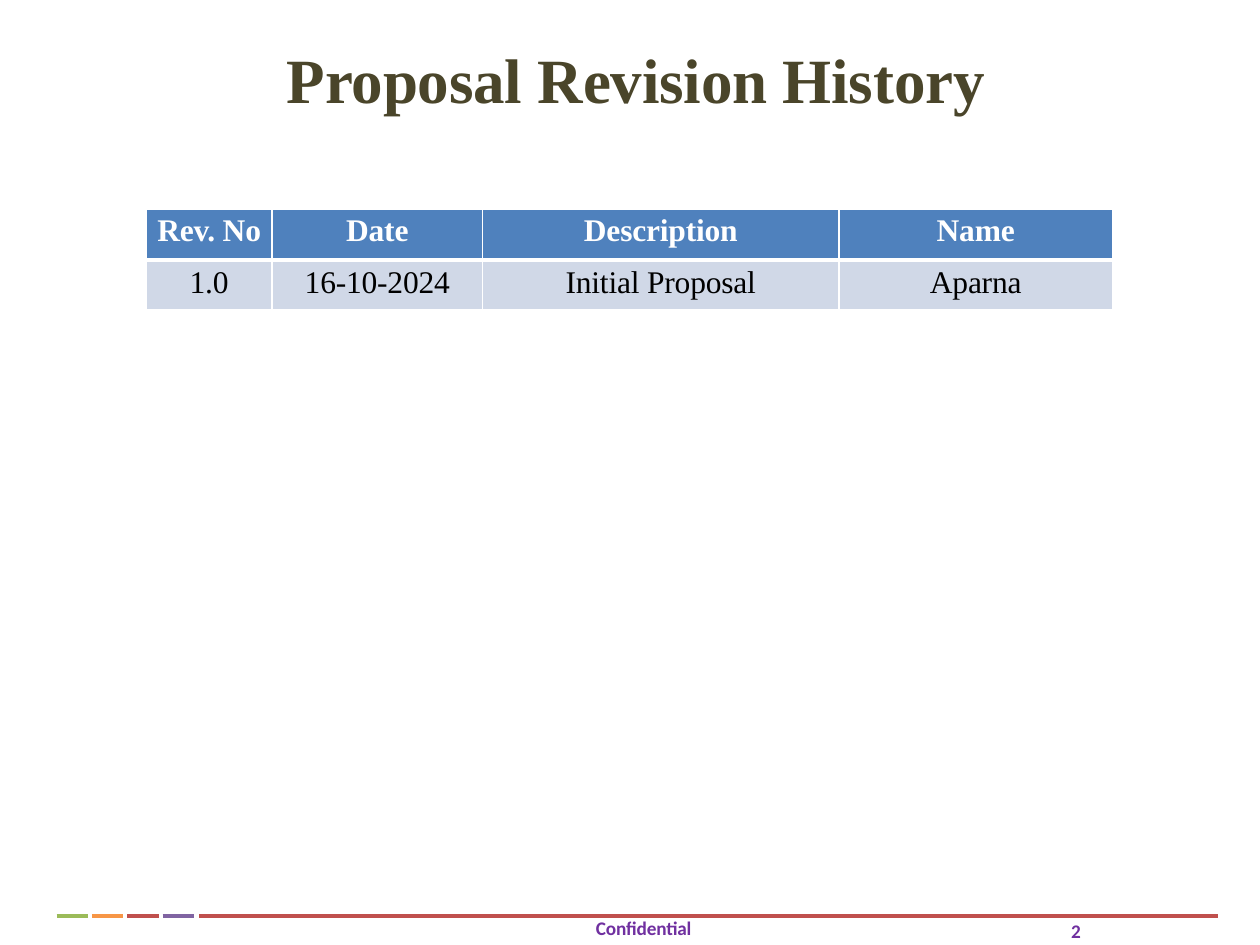
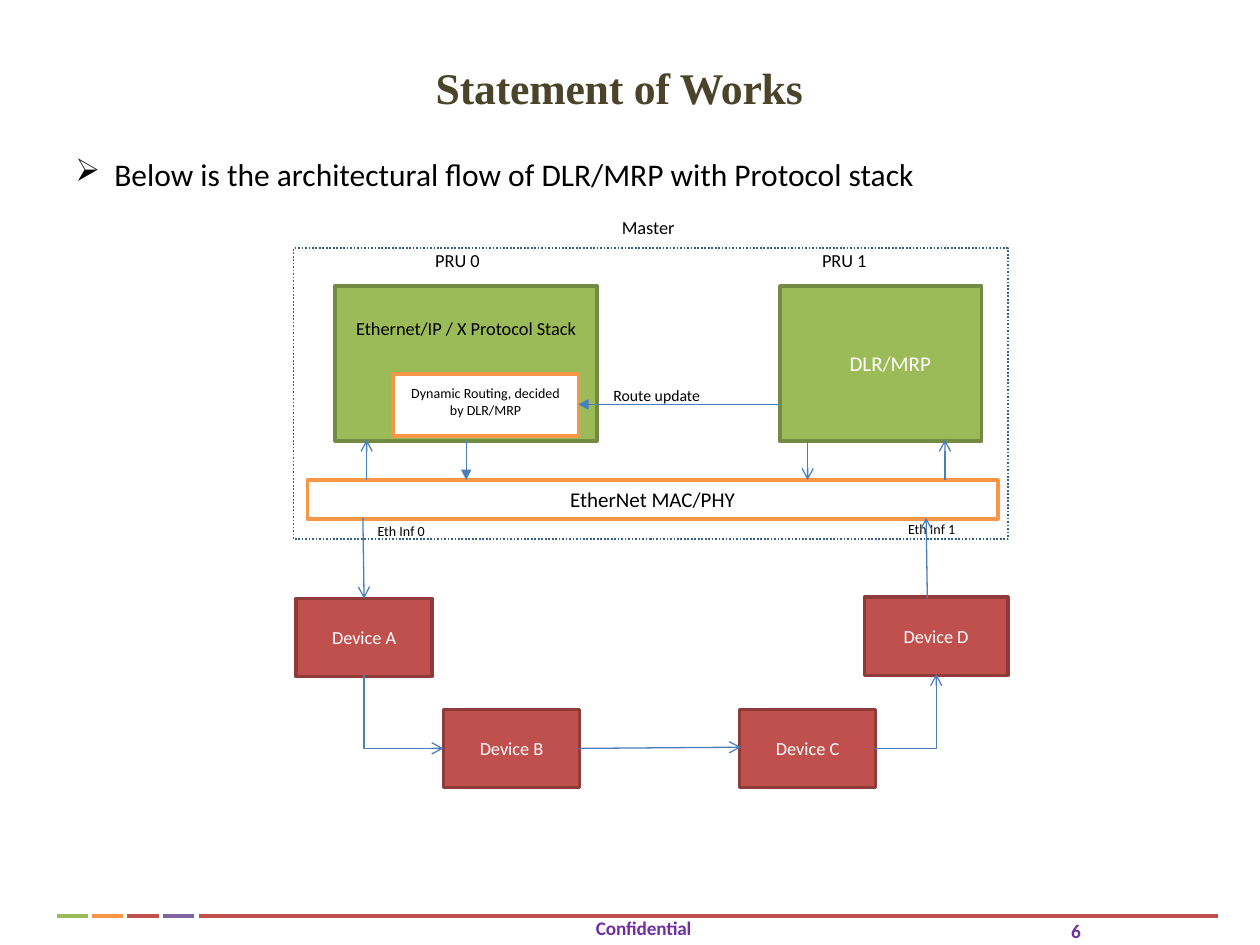
from dataclasses import dataclass
from typing import NamedTuple, Optional

from lxml.etree import SubElement
from pptx import Presentation
from pptx.dml.color import RGBColor
from pptx.enum.dml import MSO_LINE
from pptx.enum.shapes import MSO_CONNECTOR, MSO_SHAPE
from pptx.enum.text import MSO_ANCHOR, PP_ALIGN
from pptx.oxml import parse_xml
from pptx.oxml.ns import nsdecls, qn
from pptx.util import Emu, Inches, Pt

SLIDE_WIDTH, SLIDE_HEIGHT = Inches(10), Inches(7.5)
GRID_COLUMNS, GRID_ROWS = 100, 75


@dataclass(frozen=True)
class Theme:
    serif: str = "Times New Roman"
    sans: str = "Calibri"
    white: str = "FFFFFF"
    black: str = "000000"
    title: str = "4A452A"
    footer: str = "7030A0"
    green: str = "9BBB59"
    green_edge: str = "738A42"
    orange: str = "F79646"
    red: str = "C0504D"
    red_edge: str = "8E3B39"
    purple: str = "8064A2"
    arrow: str = "4B7EBC"
    dotted: str = "3A5F8C"
    table_head: str = "4F81BD"
    table_row: str = "D0D8E7"
    body_size: float = 18
    large_size: float = 12
    label_size: float = 10.5
    route_size: float = 9
    small_size: float = 8
    footer_size: float = 11


THEME = Theme()


class Area(NamedTuple):
    """Left, top, width and height in grid columns and rows."""
    left: float
    top: float
    width: float
    height: float


class Insets(NamedTuple):
    left: float = 1
    top: float = 0.5
    right: float = 1
    bottom: float = 0.5


FLUSH = Insets(0, 0, 0, 0)


@dataclass(frozen=True)
class Style:
    size: float
    color: str = THEME.black
    font: str = THEME.sans
    bold: bool = False
    tracking: float = 0
    align: PP_ALIGN = PP_ALIGN.CENTER
    anchor: MSO_ANCHOR = MSO_ANCHOR.MIDDLE
    before: float = 0
    leading: Optional[float] = None


@dataclass(frozen=True)
class Node:
    area: Area
    text: str = ""
    style: Style = Style(THEME.label_size)
    fill: Optional[str] = None
    edge: Optional[str] = None
    edge_width: float = 2
    dash: Optional[MSO_LINE] = None
    insets: Insets = Insets()


@dataclass(frozen=True)
class Link:
    start: tuple[float, float]
    end: tuple[float, float]
    color: str = THEME.arrow
    width: float = 0.75
    head: Optional[str] = None
    tail: Optional[str] = "arrow"
    bent: bool = False


def across(columns: float) -> Emu:
    return Emu(round(SLIDE_WIDTH * columns / GRID_COLUMNS))


def down(rows: float) -> Emu:
    return Emu(round(SLIDE_HEIGHT * rows / GRID_ROWS))


def place(area: Area) -> tuple[Emu, Emu, Emu, Emu]:
    return across(area.left), down(area.top), across(area.width), down(area.height)


def write(frame, text: str, style: Style):
    para = frame.paragraphs[0]
    para.alignment = style.align
    para.space_before = Pt(style.before)
    if style.leading:
        para.line_spacing = Pt(style.leading)
    span = para.add_run()
    span.text = text
    span.font.name = style.font
    span.font.size = Pt(style.size)
    span.font.bold = style.bold
    span.font.color.rgb = RGBColor.from_string(style.color)
    if style.tracking:
        span.font._element.set("spc", str(round(style.tracking * 100)))
    return para


def draw_node(page, node: Node):
    """Draw a text box, or a rectangle when the node has a fill or an edge."""
    if node.fill or node.edge:
        box = page.shapes.add_shape(MSO_SHAPE.RECTANGLE, *place(node.area))
        box.shadow.inherit = False
    else:
        box = page.shapes.add_textbox(*place(node.area))
    if node.fill:
        box.fill.solid()
        box.fill.fore_color.rgb = RGBColor.from_string(node.fill)
    else:
        box.fill.background()
    if node.edge:
        box.line.color.rgb = RGBColor.from_string(node.edge)
        box.line.width = Pt(node.edge_width)
        box.line.dash_style = node.dash
    else:
        box.line.fill.background()
    frame = box.text_frame
    frame.word_wrap = True
    frame.vertical_anchor = node.style.anchor
    frame.margin_left, frame.margin_right = across(node.insets.left), across(node.insets.right)
    frame.margin_top, frame.margin_bottom = down(node.insets.top), down(node.insets.bottom)
    return write(frame, node.text, node.style) if node.text else None


def draw_link(page, link: Link) -> None:
    kind = MSO_CONNECTOR.ELBOW if link.bent else MSO_CONNECTOR.STRAIGHT
    (x1, y1), (x2, y2) = link.start, link.end
    line = page.shapes.add_connector(kind, across(x1), down(y1), across(x2), down(y2))
    line.line.color.rgb = RGBColor.from_string(link.color)
    line.line.width = Pt(link.width)
    properties = line._element.spPr
    if link.bent:
        properties.find(qn("a:prstGeom")).set("prst", "bentConnector2")
    for tag, arrow in (("a:headEnd", link.head), ("a:tailEnd", link.tail)):
        if arrow:
            SubElement(properties.find(qn("a:ln")), qn(tag)).set("type", arrow)
    SubElement(properties, qn("a:effectLst"))


def add_page(deck, title: str, title_area: Area, title_size: float, number: int):
    """Add a blank slide with title, coloured footer band and page number."""
    page = deck.slides.add_slide(deck.slide_layouts[6])
    band = 72.7
    draw_link(page, Link((15.8, band), (96.7, band), THEME.red, 2.25, tail=None))
    for index, color in enumerate((THEME.green, THEME.orange, THEME.red, THEME.purple)):
        left = 4.5 + 2.8 * index
        draw_link(page, Link((left, band), (left + 2.5, band), color, 2, tail=None))
    title_style = Style(title_size, THEME.title, THEME.serif, True, -0.1,
                        anchor=MSO_ANCHOR.TOP, before=1)
    draw_node(page, Node(title_area, title, title_style, insets=Insets(0, 0.1, 0, 0)))
    footer = Style(THEME.footer_size, THEME.footer, bold=True, tracking=-0.1,
                   align=PP_ALIGN.LEFT, anchor=MSO_ANCHOR.TOP, leading=11.4)
    draw_node(page, Node(Area(47.3, 73, 8, 1.8), "Confidential", footer, insets=FLUSH))
    draw_node(page, Node(Area(85, 73.2, 1.2, 1.8), str(number), footer, insets=FLUSH))
    return page


def border_cell(cell, top: float, bottom: float) -> None:
    properties = cell._tc.get_or_add_tcPr()
    for index, (side, width) in enumerate((("L", 1), ("R", 1), ("T", top), ("B", bottom))):
        properties.insert(index, parse_xml(
            f'<a:ln{side} {nsdecls("a")} w="{Pt(width)}"><a:solidFill>'
            f'<a:srgbClr val="{THEME.white}"/></a:solidFill></a:ln{side}>'))


def add_revision_table(page) -> None:
    rows = (("Rev. No", "Date", "Description", "Name"),
            ("1.0", "16-10-2024", "Initial Proposal", "Aparna"))
    widths = (10, 16.7, 28.3, 21.7)
    area = Area(11.6, 16.6, sum(widths), 8.1)
    table = page.shapes.add_table(len(rows), len(widths), *place(area)).table
    table.horz_banding = False
    for column, width in zip(table.columns, widths):
        column.width = across(width)
    for row_index, texts in enumerate(rows):
        header = row_index == 0
        style = Style(THEME.body_size, THEME.white if header else THEME.black, THEME.serif,
                      header, -0.1, before=2.2 if header else 3)
        for column_index, text in enumerate(texts):
            cell = table.cell(row_index, column_index)
            cell.margin_left = cell.margin_right = cell.margin_bottom = 0
            cell.margin_top = down(0.3 if header else 0.4)
            cell.vertical_anchor = MSO_ANCHOR.TOP
            cell.fill.solid()
            cell.fill.fore_color.rgb = RGBColor.from_string(
                THEME.table_head if header else THEME.table_row)
            border_cell(cell, 1 if header else 3, 3)
            write(cell.text_frame, text, style)


def add_bullet(page, text: str) -> None:
    style = Style(THEME.body_size, align=PP_ALIGN.LEFT, anchor=MSO_ANCHOR.TOP)
    para = draw_node(page, Node(Area(5, 11.8, 91.7, 4), text, style))
    properties = para._p.get_or_add_pPr()
    properties.set("marL", str(across(3.1)))
    properties.set("indent", str(-across(3.1)))
    SubElement(properties, qn("a:buChar")).set("char", "➢")


def device(name: str, left: float, top: float, width: float = 10.8) -> Node:
    return Node(Area(left, top, width, 6.2), f"Device {name}",
                Style(THEME.label_size, THEME.white), THEME.red, THEME.red_edge)


def add_architecture(page) -> None:
    small = Style(THEME.small_size)
    small_top = Style(THEME.small_size, anchor=MSO_ANCHOR.TOP)
    stack_style = Style(THEME.label_size, anchor=MSO_ANCHOR.TOP)
    route_style = Style(THEME.route_size, align=PP_ALIGN.LEFT, anchor=MSO_ANCHOR.TOP)
    nodes = (
        Node(Area(68.7, 41.5, 10.5, 0.9), "Eth Inf 1", small, THEME.white),
        Node(Area(27.8, 40.9, 8.1, 2.4), "Eth Inf 0", small, THEME.white),
        Node(Area(24.4, 38.1, 54.8, 3.1), "EtherNet MAC/PHY", Style(THEME.large_size),
             THEME.white, THEME.orange),
        Node(Area(26.6, 22.7, 20.8, 12.3), "Ethernet/IP / X Protocol Stack", stack_style,
             THEME.green, THEME.green_edge, insets=Insets(top=2.5)),
        Node(Area(31.2, 19.4, 10.2, 2.5), "PRU 0"),
        Node(Area(61.9, 19.4, 10.2, 2.5), "PRU 1"),
        Node(Area(23.3, 19.7, 56.7, 23.1), edge=THEME.dotted, edge_width=1,
             dash=MSO_LINE.ROUND_DOT),
        Node(Area(39.1, 16.7, 24.7, 2.6), "Master"),
        Node(Area(31.2, 29.7, 14.7, 4.9), "Dynamic Routing, decided by DLR/MRP", small_top,
             THEME.white, THEME.orange, insets=Insets(top=0.8)),
        Node(Area(61.9, 22.7, 16, 12.3), "DLR/MRP", Style(THEME.large_size, THEME.white),
             THEME.green, THEME.green_edge, insets=Insets(left=2.5)),
        device("C", 58.7, 56.3),
        device("D", 68.6, 47.4, 11.4),
        device("A", 23.5, 47.5),
        device("B", 35.2, 56.3),
        Node(Area(47.7, 30.1, 15.1, 2.5), "Route update", route_style),
    )
    stack_bottom, mac_top, mac_bottom = 34.9, 38.1, 41.1
    links = (
        Link((75, mac_top), (75, stack_bottom)),
        Link((64.1, stack_bottom), (64.1, mac_top)),
        Link((29.1, mac_top), (29.1, stack_bottom)),
        Link((37, stack_bottom), (37, mac_top), tail="triangle"),
        Link((61.9, 32.1), (45.9, 32.1), tail="triangle"),
        Link((28.8, mac_bottom), (28.9, 47.5)),
        Link((73.6, 47.5), (73.5, mac_bottom)),
        Link((45.9, 59.4), (58.8, 59.3)),
        Link((69.4, 59.4), (74.3, 53.5), bent=True),
        Link((35.2, 59.4), (28.9, 53.6), head="arrow", tail=None, bent=True),
    )
    for node in nodes:
        draw_node(page, node)
    for link in links:
        draw_link(page, link)


def main() -> None:
    deck = Presentation()
    deck.slide_width, deck.slide_height = SLIDE_WIDTH, SLIDE_HEIGHT
    history = add_page(deck, "Proposal Revision History", Area(4.2, 3.1, 92.5, 6.3), 36, 2)
    add_revision_table(history)
    works = add_page(deck, "Statement of Works", Area(3.3, 4.7, 91.7, 4.3), 25, 6)
    add_architecture(works)
    add_bullet(works, "Below is the architectural flow of DLR/MRP with Protocol stack")
    deck.save("out.pptx")


if __name__ == "__main__":
    main()
